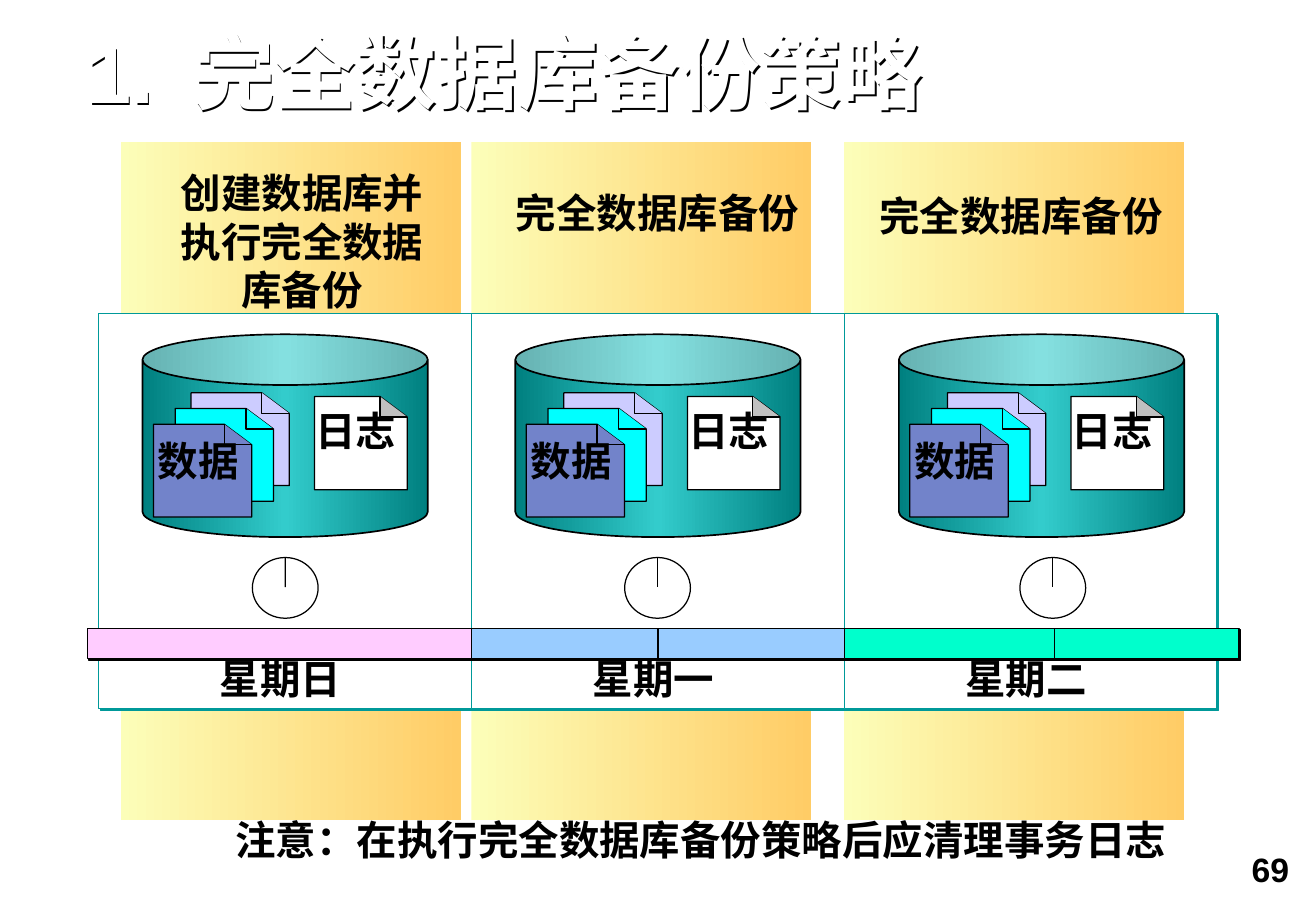
from lxml.etree import SubElement
from pptx import Presentation
from pptx.dml.color import RGBColor
from pptx.enum.shapes import MSO_CONNECTOR, MSO_SHAPE
from pptx.enum.text import MSO_ANCHOR, MSO_AUTO_SIZE, PP_ALIGN
from pptx.oxml.ns import qn
from pptx.util import Pt

CJK_FONT = "Noto Sans CJK SC"
COLUMN_EDGE, COLUMN_WIDTH = 58.6, 221.1
PANEL_TOP, PANEL_HEIGHT = 186, 234.2
TIMELINE_TOP, TIMELINE_HEIGHT = 372.4, 18
BAND_LEFTS = (71.6, 279.6, 500.6)
DAYS = (  # name, database left, clock centre, timeline left and width, colour
    ("星期日 ", 84.5, 169.2, 51.8, 227.9, "FFCCFF"),
    ("星期一 ", 305.6, 390, 279.7, 221.1, "99CCFF"),
    ("星期二 ", 533.1, 624.4, 500.8, 234, "00FFCC"),
)
DATA_PAGES = ((28.8, 232.9, "CCCCFF"), (19.4, 242.1, "00FFFF"), (6.5, 251.5, "7283CA"))


def points(*values):
    return [Pt(value) for value in values]


def color(hex_string):
    return RGBColor.from_string(hex_string)


def set_values(target, values):
    for name, value in values.items():
        setattr(target, name, value)


def set_line(line, hex_string, width=0.75):
    line.color.rgb = color(hex_string)
    line.width = Pt(width)


def add_shadow(shape, hex_string):
    """Add a hard shadow towards the lower right."""
    shape.shadow.inherit = False
    effects = shape._element.spPr.find(qn("a:effectLst"))
    shadow = SubElement(effects, qn("a:outerShdw"), blurRad="0",
                        dist=str(Pt(1.4)), dir="2700000", algn="ctr", rotWithShape="0")
    SubElement(shadow, qn("a:srgbClr"), val=hex_string)


def set_gradient(shape, colors):
    """Spread the colours evenly from left to right."""
    shape.fill.gradient()
    shape.fill.gradient_angle = 0
    stops = shape._element.spPr.find(".//" + qn("a:gsLst"))
    for stop in list(stops):
        stops.remove(stop)
    for index, hex_string in enumerate(colors):
        position = index * 100000 // (len(colors) - 1)
        stop = SubElement(stops, qn("a:gs"), pos=str(position))
        SubElement(stop, qn("a:srgbClr"), val=hex_string)


def margins(horizontal, vertical):
    return {"margin_left": Pt(horizontal), "margin_right": Pt(horizontal),
            "margin_top": Pt(vertical), "margin_bottom": Pt(vertical)}


def write(shape, text, size=24, font="Arial", hex_string="000000",
          frame_values=None, paragraph_values=None):
    frame = shape.text_frame
    set_values(frame, frame_values or {})
    paragraph = frame.paragraphs[0]
    set_values(paragraph, paragraph_values or {})
    run = paragraph.add_run()
    run.text = text
    set_values(run.font, {"size": Pt(size), "bold": True, "name": font})
    run.font.color.rgb = color(hex_string)
    SubElement(run._r.get_or_add_rPr(), qn("a:ea"), typeface=CJK_FONT)


def add_text(slide, box, text, align=PP_ALIGN.CENTER, wrap=False, inset=(7.2, 3.6), **style):
    shape = slide.shapes.add_textbox(*points(*box))
    write(shape, text, paragraph_values={"alignment": align},
          frame_values={**margins(*inset), "word_wrap": wrap,
                        "auto_size": MSO_AUTO_SIZE.SHAPE_TO_FIT_TEXT},
          **style)


def add_box(slide, kind, box, fill, line=None, width=0.75, shadow=None):
    """Add a preset shape; a tuple of colours makes a gradient fill."""
    shape = slide.shapes.add_shape(kind, *points(*box))
    shape.shadow.inherit = False
    if isinstance(fill, tuple):
        set_gradient(shape, fill)
    else:
        shape.fill.solid()
        shape.fill.fore_color.rgb = color(fill)
    if line:
        set_line(shape.line, line, width)
    else:
        shape.line.fill.background()
    if shadow:
        add_shadow(shape, shadow)
    return shape


def add_vertical_line(slide, x, top, bottom):
    connector = slide.shapes.add_connector(MSO_CONNECTOR.STRAIGHT, *points(x, top, x, bottom))
    set_line(connector.line, "000000")
    SubElement(connector._element.spPr, qn("a:effectLst"))
    return connector


def add_outline(slide, corners, fill, close):
    start, *others = [points(*corner) for corner in corners]
    builder = slide.shapes.build_freeform(*start)
    builder.add_line_segments(others, close=close)
    shape = builder.convert_to_shape()
    shape.shadow.inherit = False
    shape.fill.solid()
    shape.fill.fore_color.rgb = color(fill)
    set_line(shape.line, "000000")


def add_page(slide, left, top, width, height, fill, fold_fill):
    """Add a sheet whose upper right corner is folded."""
    right, bottom = left + width, top + height
    fold_left, fold_bottom = right - 16.3, top + 12.2
    add_outline(slide, [(left, top), (fold_left, top), (right, fold_bottom),
                        (right, bottom), (left, bottom)], fill, True)
    add_outline(slide, [(fold_left, top), (fold_left, fold_bottom), (right, fold_bottom)],
                fold_fill, False)


def add_database(slide, left):
    can = add_box(slide, MSO_SHAPE.CAN, (left, 198.2, 169.2, 120.2),
                  ("008080", "33CCCC", "008080"), "000000", 1)
    can.adjustments[0] = 0.25
    for offset, top, fill in DATA_PAGES:
        add_page(slide, left + offset, top, 58.3, 55, fill, fill)
    add_text(slide, (left + 2, 255.2, 67.7, 36), "数据 ", font=CJK_FONT)
    add_page(slide, left + 102.1, 235, 55, 55.4, "FFFFFF", "C0C0C0")
    add_text(slide, (left + 95.4, 237.2, 67.7, 36), "日志 ", font=CJK_FONT)


def add_clock(slide, center):
    face = add_box(slide, MSO_SHAPE.OVAL, (center - 19.5, 330.5, 39, 36), "FFFFFF", "000000")
    hand = add_vertical_line(slide, center, 330.5, 348)
    hand.begin_connect(face, 0)


def add_panel(slide, index, name):
    left = COLUMN_EDGE + index * COLUMN_WIDTH
    panel = add_box(slide, MSO_SHAPE.RECTANGLE, (left, PANEL_TOP, COLUMN_WIDTH, PANEL_HEIGHT),
                    "FFFFFF", "009999", shadow="009999")
    write(panel, name,
          frame_values={"vertical_anchor": MSO_ANCHOR.BOTTOM, "word_wrap": False},
          paragraph_values={"alignment": PP_ALIGN.CENTER, "space_before": Pt(15)})


def add_title(slide, text):
    title = slide.shapes.title
    set_values(title, dict(zip(("left", "top", "width", "height"),
                               points(51.1, 20.2, 694.8, 51.8))))
    write(title, text, size=48, hex_string="FFFFFF",
          frame_values={**margins(0, 0), "vertical_anchor": MSO_ANCHOR.BOTTOM,
                        "auto_size": MSO_AUTO_SIZE.SHAPE_TO_FIT_TEXT},
          paragraph_values={"alignment": PP_ALIGN.LEFT, "line_spacing": 0.9})
    tab_stops = SubElement(title.text_frame.paragraphs[0]._p.get_or_add_pPr(), qn("a:tabLst"))
    SubElement(tab_stops, qn("a:tab"), pos=str(Pt(64)), algn="l")
    add_shadow(title, "000000")


def main():
    presentation = Presentation()
    presentation.slide_width = Pt(780.48)
    presentation.slide_height = Pt(540)
    slide = presentation.slides.add_slide(presentation.slide_layouts[5])
    add_title(slide, "1.\t完全数据库备份策略")
    add_text(slide, (576.7, 498.2, 197.3, 41.8), "69", PP_ALIGN.RIGHT, True, (9.4, 4.7), size=20)

    for left in BAND_LEFTS:
        add_box(slide, MSO_SHAPE.RECTANGLE, (left, 84.2, 201.6, 402), ("FCFEB9", "FFCC66"))
    add_text(slide, (90.9, 96.2, 176.4, 93.6), "创建数据库并执行完全数据库备份",
             wrap=True, font=CJK_FONT)
    add_text(slide, (298.4, 108.2, 188.6, 36), "完全数据库备份 ", font=CJK_FONT)
    add_text(slide, (514.3, 109.8, 187.9, 36), "完全数据库备份 ", font="Times New Roman")

    for index, day in enumerate(DAYS):
        add_panel(slide, index, day[0])
    segments = [add_box(slide, MSO_SHAPE.RECTANGLE,
                        (left, TIMELINE_TOP, width, TIMELINE_HEIGHT), fill, "000000",
                        shadow="000000")
                for *_, left, width, fill in DAYS]
    timeline_bottom = TIMELINE_TOP + TIMELINE_HEIGHT
    monday_noon = add_vertical_line(slide, 390.2, TIMELINE_TOP, timeline_bottom)
    monday_noon.begin_connect(segments[1], 0)
    monday_noon.end_connect(segments[1], 2)
    add_vertical_line(slide, 625.2, TIMELINE_TOP, timeline_bottom)

    for _, database_left, clock_center, *_ in DAYS:
        add_database(slide, database_left)
        add_clock(slide, clock_center)
    add_text(slide, (132.5, 479.8, 570, 36),
             "注意：在执行完全数据库备份策略后应清理事务日志", PP_ALIGN.LEFT)
    presentation.save("out.pptx")


if __name__ == "__main__":
    main()
